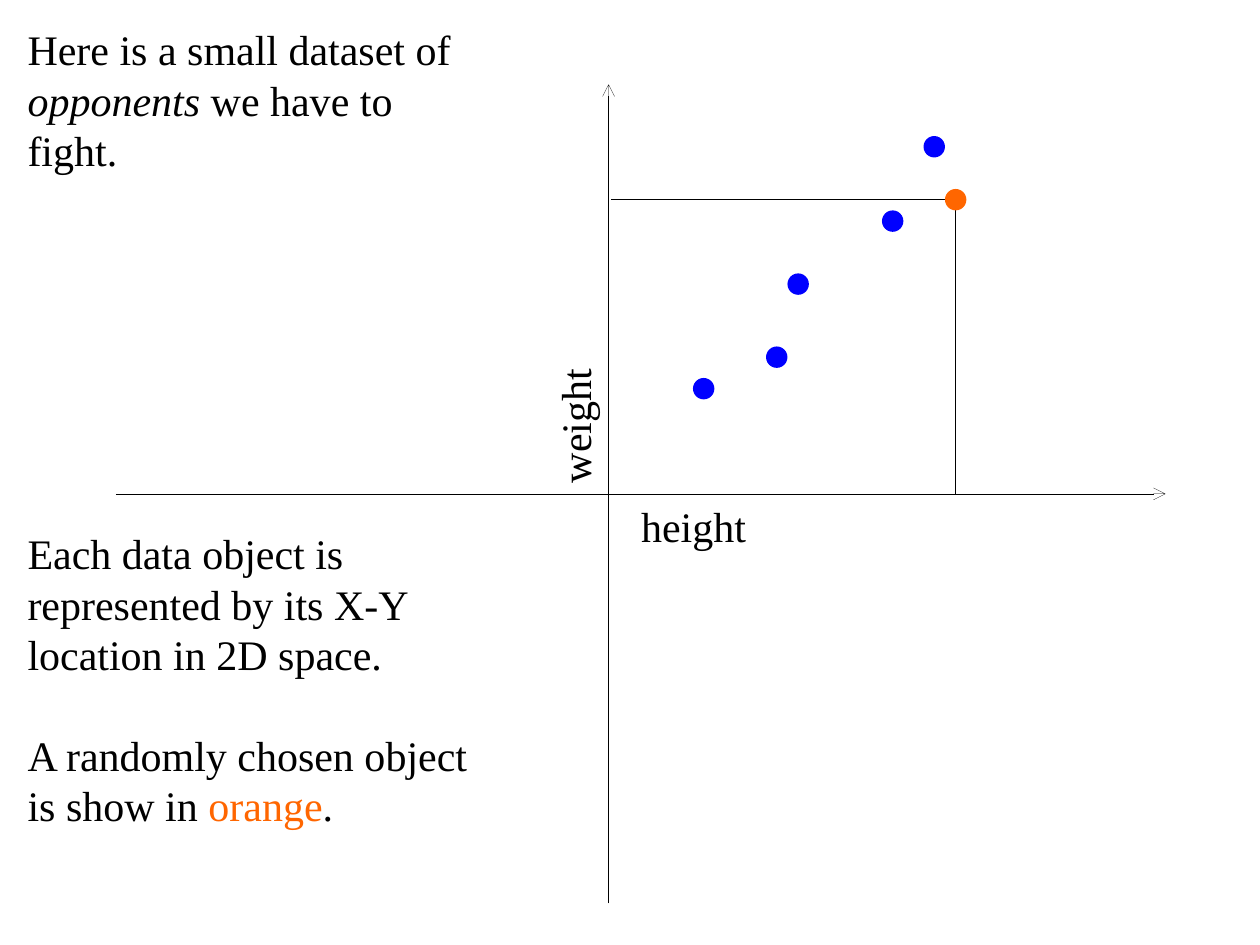
"""Build a slide that plots a small dataset of opponents by height and weight."""
from lxml.etree import SubElement
from pptx import Presentation
from pptx.dml.color import RGBColor
from pptx.enum.dml import MSO_LINE
from pptx.enum.shapes import MSO_CONNECTOR, MSO_SHAPE
from pptx.enum.text import PP_ALIGN
from pptx.oxml.ns import qn
from pptx.util import Inches, Pt

BLACK, BLUE, ORANGE = "000000", "0000FF", "FF6600"
DOT = 0.17


def color(fmt, code):
    fmt.rgb = RGBColor.from_string(code)


def write(para, text, code=BLACK, slant=False):
    para.line_spacing = Pt(28.8)
    run = para.add_run()
    run.text = text
    run.font.name = "Times New Roman"
    run.font.size = Pt(24)
    run.font.italic = slant
    color(run.font.color, code)


prs = Presentation()
prs.slide_width, prs.slide_height = Inches(10), Inches(7.5)
slide = prs.slides.add_slide(prs.slide_layouts[6])
shapes = slide.shapes

axes = shapes.add_group_shape().shapes
lines = [
    (axes, 4.83, 7.17, 4.83, 0.67),
    (axes, 0.92, 3.92, 9.25, 3.92),
    (shapes, 7.58, 1.6, 7.58, 3.92),
    (shapes, 7.56, 1.58, 4.85, 1.58),
]
for owner, *ends in lines:
    line = owner.add_connector(MSO_CONNECTOR.STRAIGHT, *map(Inches, ends))
    color(line.line.color, BLACK)
    props = line._element.spPr
    if owner is axes:
        line.line.width = Pt(0.01)
        SubElement(props.find(qn("a:ln")), qn("a:tailEnd"), type="arrow")
    else:
        line.line.width = Pt(0.25)
        line.line.dash_style = MSO_LINE.ROUND_DOT
    SubElement(props, qn("a:effectLst"))

for text, left, top, width, angle in [
    ("height", 4.99, 3.92, 1.03, 0),
    ("weight", 3.91, 3.13, 1.3, 270),
]:
    label = shapes.add_textbox(Inches(left), Inches(top), Inches(width), Inches(0.5))
    label.rotation = angle
    label.text_frame.word_wrap = False
    para = label.text_frame.paragraphs[0]
    para.alignment = PP_ALIGN.CENTER
    write(para, text)

box = shapes.add_textbox(Inches(0.12), Inches(0.14), Inches(3.82), Inches(6.9))
frame = box.text_frame
frame.word_wrap = True
intro = frame.paragraphs[0]
write(intro, "Here is a small dataset of ")
write(intro, "opponents", slant=True)
write(intro, " we have to fight.")

place = frame.add_paragraph()
place.space_before = Pt(7 * 28.8)
write(place, "Each data object is represented by its X-Y location in 2D space.")

choice = frame.add_paragraph()
choice.space_before = Pt(28.8)
write(choice, "A randomly chosen object is show in ")
write(choice, "orange", ORANGE)
write(choice, ".")

for left, top, code in [
    (7, 1.67, BLUE),
    (6.25, 2.17, BLUE),
    (6.08, 2.75, BLUE),
    (5.5, 3, BLUE),
    (7.33, 1.08, BLUE),
    (7.5, 1.5, ORANGE),
]:
    dot = shapes.add_shape(MSO_SHAPE.OVAL, Inches(left), Inches(top), Inches(DOT), Inches(DOT))
    dot.shadow.inherit = False
    dot.fill.solid()
    color(dot.fill.fore_color, code)
    dot.line.fill.background()

prs.save("out.pptx")
